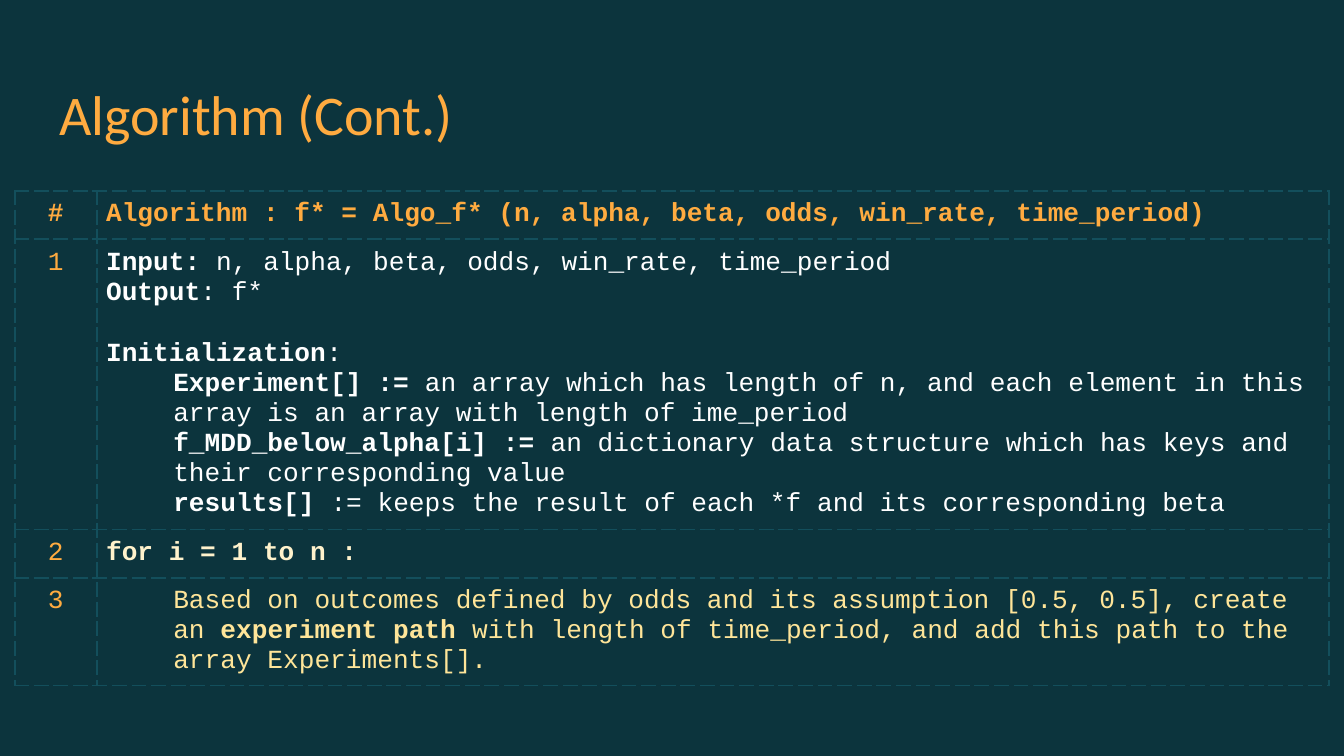
from dataclasses import dataclass

import pptx
import pptx.dml.color
import pptx.enum.text
import pptx.oxml
import pptx.oxml.ns
import pptx.util
from pptx.util import Inches


@dataclass(frozen=True)
class Theme:
    background: str = "0C343D"
    accent: str = "FFAB40"
    body: str = "FFFFFF"
    loop: str = "FFF2CC"
    step: str = "FFE599"
    border: str = "134F5C"
    title_font: str = "Calibri"
    code_font: str = "Courier New"
    title_size: float = 30
    code_size: float = 14
    border_width: float = 1


@dataclass(frozen=True)
class Span:
    text: str
    bold: bool = False


@dataclass(frozen=True)
class Line:
    spans: tuple[Span, ...]
    indent: float = 0
    before: float = 0
    after: float = 0


@dataclass(frozen=True)
class Step:
    number: Span
    lines: tuple[Line, ...]
    color: str
    height: float


THEME = Theme()
ALIGN = pptx.enum.text.PP_ALIGN
GAP = 0.5
BLANK_LINE = 16.5
INDENT = 0.5
CELL_MARGIN = 0.07
COLUMN_WIDTHS = (0.61, 9.17)

STEPS = (
    Step(Span("#", True), (
        Line((Span("Algorithm : f* = Algo_f* (n, alpha, beta, odds, win_rate, time_period)", True),),
             after=GAP),
    ), THEME.accent, 0.36),
    Step(Span("1"), (
        Line((Span("Input: ", True), Span("n, alpha, beta, odds, win_rate, time_period"))),
        Line((Span("Output", True), Span(": f*")), before=GAP),
        Line((Span("Initialization", True), Span(":")), before=BLANK_LINE),
        Line((Span("Experiment[] :=", True),
              Span(" an array which has length of n, and each element in this array "
                   "is an array with length of ime_period")), INDENT, GAP),
        Line((Span("f_MDD_below_alpha[i] :=", True),
              Span(" an dictionary data structure which has keys and their "
                   "corresponding value")), INDENT, GAP),
        Line((Span("results[]", True),
              Span(" := keeps the result of each *f and its corresponding beta")),
             INDENT, GAP, GAP),
    ), THEME.body, 2.16),
    Step(Span("2"), (Line((Span("for i = 1 to n :", True),), after=GAP),), THEME.loop, 0.36),
    Step(Span("3"), (
        Line((Span("Based on outcomes defined by odds and its assumption [0.5, 0.5], create an "),
              Span("experiment path ", True),
              Span("with length of time_period, and add this path to the array Experiments[].")),
             INDENT, after=GAP),
    ), THEME.step, 0.8),
)


def rgb(color: str) -> pptx.dml.color.RGBColor:
    return pptx.dml.color.RGBColor.from_string(color)


def format_run(r, font: str, size: float, color: str, bold: bool = False) -> None:
    r.font.name = font
    r.font.size = pptx.util.Pt(size)
    r.font.color.rgb = rgb(color)
    r.font.bold = bold


def add_title(slide, text: str) -> None:
    sp = slide.shapes.title
    sp.left, sp.top, sp.width, sp.height = map(Inches, (0.34, 0.49, 9.32, 0.63))
    tf = sp.text_frame
    tf.text = text
    tf.word_wrap = True
    tf.auto_size = pptx.enum.text.MSO_AUTO_SIZE.NONE
    tf.vertical_anchor = pptx.enum.text.MSO_ANCHOR.TOP
    tf.margin_left = tf.margin_right = tf.margin_top = tf.margin_bottom = Inches(0.1)
    p = tf.paragraphs[0]
    p.alignment = ALIGN.LEFT
    format_run(p.runs[0], THEME.title_font, THEME.title_size, THEME.accent)


def style_cell(cell) -> None:
    """Give the cell dashed borders, even margins and no fill."""
    tc_pr = cell._tc.get_or_add_tcPr()
    for side in ("L", "R", "T", "B"):
        tc_pr.append(pptx.oxml.parse_xml(
            f'<a:ln{side} {pptx.oxml.ns.nsdecls("a")} w="{pptx.util.Pt(THEME.border_width)}">'
            f'<a:solidFill><a:srgbClr val="{THEME.border}"/></a:solidFill>'
            f'<a:prstDash val="lgDash"/></a:ln{side}>'))
    cell.fill.background()
    cell.margin_left = cell.margin_right = Inches(CELL_MARGIN)
    cell.margin_top = cell.margin_bottom = Inches(CELL_MARGIN)
    cell.vertical_anchor = pptx.enum.text.MSO_ANCHOR.TOP


def fill_cell(cell, lines: tuple[Line, ...], color: str, alignment: ALIGN) -> None:
    style_cell(cell)
    tf = cell.text_frame
    for i, line in enumerate(lines):
        p = tf.add_paragraph() if i else tf.paragraphs[0]
        p.alignment = alignment
        p.space_before = pptx.util.Pt(line.before)
        p.space_after = pptx.util.Pt(line.after)
        p_pr = p._p.get_or_add_pPr()
        p_pr.set("marL", str(Inches(line.indent)))
        p_pr.set("indent", "0")
        for span in line.spans:
            r = p.add_run()
            r.text = span.text
            format_run(r, THEME.code_font, THEME.code_size, color, span.bold)


def add_algorithm(slide, steps: tuple[Step, ...]) -> None:
    table = slide.shapes.add_table(
        len(steps), len(COLUMN_WIDTHS), Inches(0.11), Inches(1.42),
        Inches(sum(COLUMN_WIDTHS)), Inches(sum(step.height for step in steps))).table
    table.first_row = table.horz_banding = False
    for column, width in zip(table.columns, COLUMN_WIDTHS):
        column.width = Inches(width)
    for i, step in enumerate(steps):
        table.rows[i].height = Inches(step.height)
        number = Line((step.number,), after=GAP)
        fill_cell(table.cell(i, 0), (number,), THEME.accent, ALIGN.CENTER)
        fill_cell(table.cell(i, 1), step.lines, step.color, ALIGN.LEFT)


def main() -> None:
    prs = pptx.Presentation()
    prs.slide_width = Inches(10)
    prs.slide_height = prs.slide_width * 9 // 16
    slide = prs.slides.add_slide(prs.slide_layouts.get_by_name("Title Only"))
    slide.background.fill.solid()
    slide.background.fill.fore_color.rgb = rgb(THEME.background)
    add_title(slide, "Algorithm (Cont.)")
    add_algorithm(slide, STEPS)
    prs.save("out.pptx")


if __name__ == "__main__":
    main()
